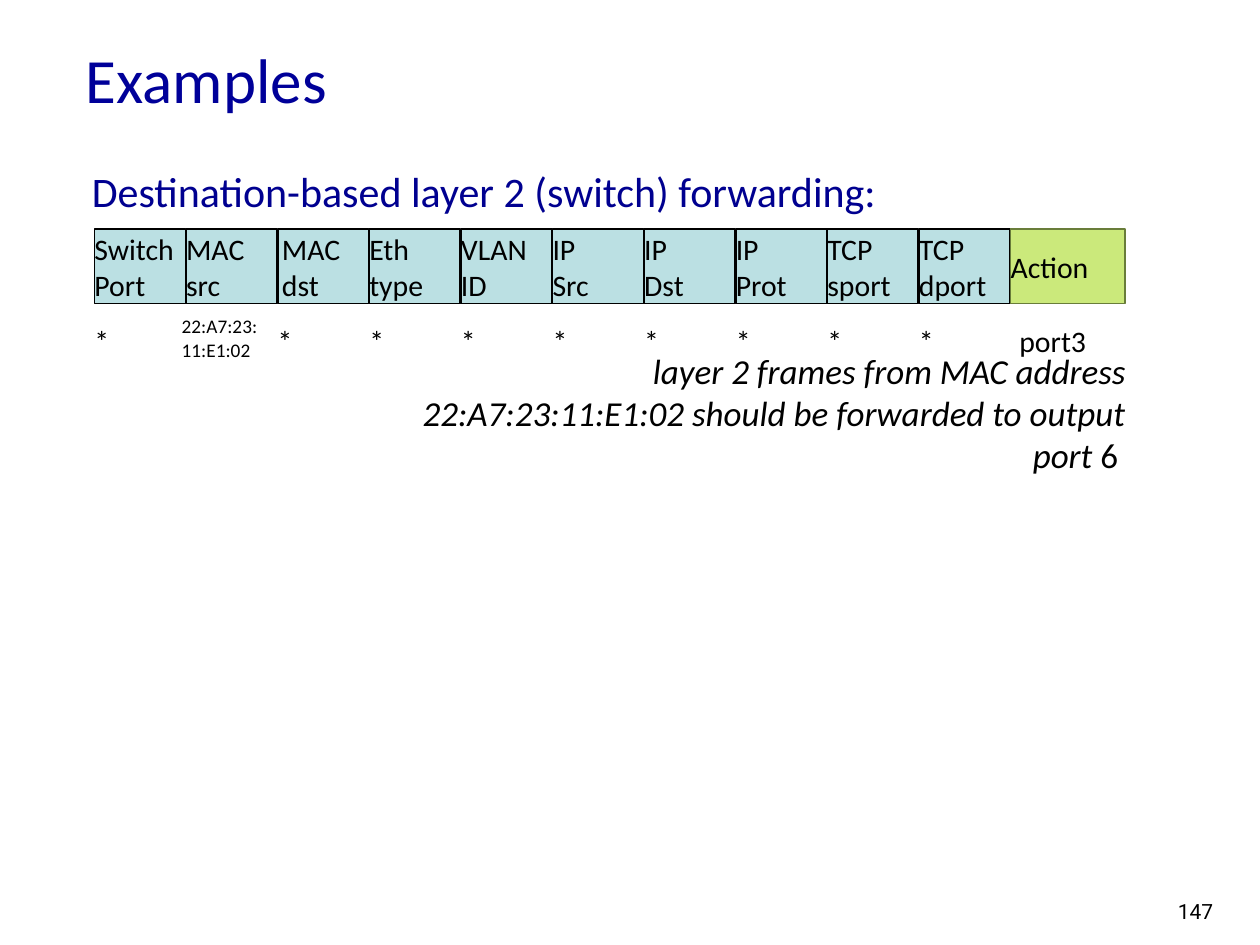
import pptx
import pptx.util
import pptx.dml.color
import pptx.enum.shapes
import pptx.enum.text

Pt = pptx.util.Pt
ALIGN = pptx.enum.text.PP_ALIGN
ANCHOR = pptx.enum.text.MSO_ANCHOR

COLORS = {
    "title": "000099",
    "head": "000090",
    "text": "000000",
    "field": "BBE0E3",
    "action": "CBE97B",
    "edge": "697D3A",
}
FIELDS = [
    ("Switch\nPort", "*"),
    ("MAC\nsrc", "22:A7:23:\n11:E1:02"),
    ("MAC\ndst", "*"),
    ("Eth\ntype", "*"),
    ("VLAN\nID", "*"),
    ("IP\nSrc", "*"),
    ("IP\nDst", "*"),
    ("IP\nProt", "*"),
    ("TCP\nsport", "*"),
    ("TCP\ndport", "*"),
]


def tint(name):
    return pptx.dml.color.RGBColor.from_string(COLORS[name])


def write(shape, text, size, color="text", font="Calibri", align=ALIGN.LEFT,
          inset=(0, 0), wrap=True, anchor=ANCHOR.MIDDLE):
    frame = shape.text_frame
    frame.text = text
    frame.word_wrap = wrap
    frame.vertical_anchor = anchor
    frame.margin_left = frame.margin_right = Pt(inset[0])
    frame.margin_top = frame.margin_bottom = Pt(inset[1])
    for para in frame.paragraphs:
        para.alignment = align
        para.font.size = Pt(size)
        para.font.name = font
        para.font.color.rgb = tint(color)
    return frame


def label(slide, box, text, size, **style):
    shape = slide.shapes.add_textbox(*map(Pt, box))
    return write(shape, text, size, **style)


def cell(slide, box, text, fill, edge, inset=0):
    kind = pptx.enum.shapes.MSO_SHAPE.RECTANGLE
    shape = slide.shapes.add_shape(kind, *map(Pt, box))
    shape.shadow.inherit = False
    shape.fill.solid()
    shape.fill.fore_color.rgb = tint(fill)
    shape.line.color.rgb = tint(edge)
    shape.line.width = Pt(1)
    write(shape, text, 17, inset=(inset, 0))


def add_rule(slide, box):
    left, top, width, height = box
    last = 65.5
    pitch = (width - last) / len(FIELDS)
    row = top + 51
    for i, (name, value) in enumerate(FIELDS):
        x = left + i * pitch
        inset = 2.4 if name == "MAC\ndst" else 0
        cell(slide, (x, top, 52, height), name, "field", "text", inset)
        if value == "*":
            label(slide, (x, row, 52, 25), value, 17)
        else:
            label(slide, (x - 2.5, row - 1.2, 52, 24.5), value, 11)
    x = left + width - last
    cell(slide, (x, top, last, height), "Action", "action", "edge")
    label(slide, (x + 5, row, 52, 25), "port3", 17)


def add_note(slide, box):
    frame = label(slide, box, "", 20, align=ALIGN.RIGHT)
    para = frame.paragraphs[0]
    lead = para.add_run()
    lead.text = ("layer 2 frames from MAC address 22:A7:23:11:E1:02 "
                 "should be forwarded to output port ")
    lead.font.italic = True
    para.add_run().text = "6 "


def main():
    deck = pptx.Presentation()
    deck.slide_width, deck.slide_height = Pt(720), Pt(540)
    slide = deck.slides.add_slide(deck.slide_layouts[6])
    label(slide, (42, -0.5, 221, 90), "Examples", 36,
          color="title", inset=(7.2, 3.6))
    label(slide, (52.5, 94.5, 449.5, 29),
          "Destination-based layer 2 (switch) forwarding:", 24,
          color="head", wrap=False)
    add_rule(slide, (54, 131, 589, 42.5))
    add_note(slide, (221.5, 211.5, 422, 48.5))
    label(slide, (666, 510, 44, 21.5), "147", 12, font="Roboto",
          inset=(7.2, 3.6), anchor=ANCHOR.TOP)
    deck.save("out.pptx")


if __name__ == "__main__":
    main()
